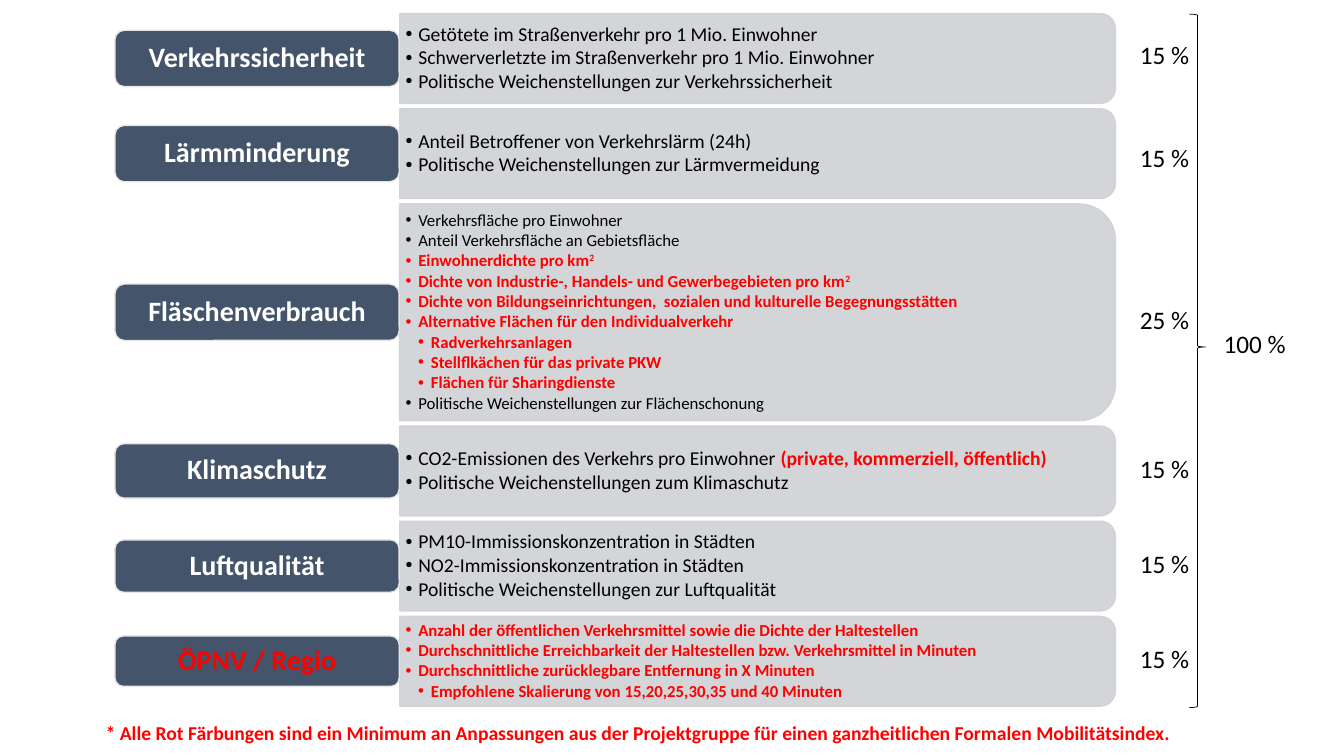
"""Builds the slide with the weighted topics of the mobility index."""
from dataclasses import dataclass

import pptx
import pptx.dml.color
import pptx.enum.shapes
import pptx.enum.text
import pptx.oxml
import pptx.oxml.ns
import pptx.util
from lxml import etree

RGBColor = pptx.dml.color.RGBColor
Shapes = pptx.enum.shapes.MSO_SHAPE
Anchor = pptx.enum.text.MSO_ANCHOR
Align = pptx.enum.text.PP_ALIGN

BLACK = RGBColor(0x00, 0x00, 0x00)
WHITE = RGBColor(0xFF, 0xFF, 0xFF)
RED = RGBColor(0xFF, 0x00, 0x00)
SLATE = RGBColor(0x44, 0x54, 0x6A)
LIGHT = RGBColor(0xE7, 0xE6, 0xE6)
SILVER = RGBColor(0xCF, 0xD1, 0xD4)
FONT = "Calibri"

# The grid has square cells of a tenth of an inch.
CELL = pptx.util.Inches(0.1)
SLIDE_COLUMNS, SLIDE_ROWS = 133.33, 75
LABEL_LEFT, LABEL_COLUMNS = 11.4, 28.2
PANEL_LEFT, PANEL_COLUMNS = 39.65, 71
SHARE_LEFT, SHARE_COLUMNS, SHARE_ROWS = 112.1, 8, 4
STACK_TOP, STACK_ROWS = 1.35, 68.7
BULLET_INDENT = 1.25


@dataclass(frozen=True)
class Bullet:
    """One line of a panel, with an optional raised or red ending."""
    text: str
    red: bool = False
    depth: int = 1
    raised: str = ""
    red_tail: str = ""


@dataclass(frozen=True)
class Topic:
    """One row of the index: label, panel of bullets and share."""
    label: str
    share: str
    share_middle: float
    bullets: tuple[Bullet, ...]
    label_rows: float = 5.6
    panel_rows: float = 8.9
    size: int = 14
    label_color: RGBColor = WHITE


TOPICS = (
    Topic("Verkehrssicherheit", "15 %", 5.4, (
        Bullet("Getötete im Straßenverkehr pro 1 Mio. Einwohner"),
        Bullet("Schwerverletzte im Straßenverkehr pro 1 Mio. Einwohner"),
        Bullet("Politische Weichenstellungen zur Verkehrssicherheit"))),
    Topic("Lärmminderung", "15 %", 15.6, (
        Bullet("Anteil Betroffener von Verkehrslärm (24h)"),
        Bullet("Politische Weichenstellungen zur Lärmvermeidung"))),
    Topic("Fläschenverbrauch", "25 %", 31.7, (
        Bullet("Verkehrsfläche pro Einwohner"),
        Bullet("Anteil Verkehrsfläche an Gebietsfläche"),
        Bullet("Einwohnerdichte pro km", red=True, raised="2"),
        Bullet("Dichte von Industrie-, Handels- und Gewerbegebieten pro km",
               red=True, raised="2"),
        Bullet("Dichte von Bildungseinrichtungen,  sozialen und kulturelle "
               "Begegnungsstätten", red=True),
        Bullet("Alternative Flächen für den Individualverkehr", red=True),
        Bullet("Radverkehrsanlagen", red=True, depth=2),
        Bullet("Stellflkächen für das private PKW", red=True, depth=2),
        Bullet("Flächen für Sharingdienste", red=True, depth=2),
        Bullet("Politische Weichenstellungen zur Flächenschonung")),
        panel_rows=21.5, size=12),
    Topic("Klimaschutz", "15 %", 46.5, (
        Bullet("CO2-Emissionen des Verkehrs pro Einwohner ",
               red_tail="(private, kommerziell, öffentlich)"),
        Bullet("Politische Weichenstellungen zum Klimaschutz")), label_rows=5.4),
    Topic("Luftqualität", "15 %", 55.9, (
        Bullet("PM10-Immissionskonzentration in Städten"),
        Bullet("NO2-Immissionskonzentration in Städten"),
        Bullet("Politische Weichenstellungen zur Luftqualität")), label_rows=5.2),
    Topic("ÖPNV / Regio", "15 %", 65.3, (
        Bullet("Anzahl der öffentlichen Verkehrsmittel sowie die Dichte der "
               "Haltestellen", red=True),
        Bullet("Durchschnittliche Erreichbarkeit der Haltestellen bzw. "
               "Verkehrsmittel in Minuten", red=True),
        Bullet("Durchschnittliche zurücklegbare Entfernung in X Minuten", red=True),
        Bullet("Empfohlene Skalierung von 15,20,25,30,35 und 40 Minuten",
               red=True, depth=2)),
        label_rows=5, size=12, label_color=RED),
)


def cells(*counts: float) -> list[int]:
    """Turn counts of grid cells into lengths."""
    return [round(count * CELL) for count in counts]


def set_font(font, size: float, color: RGBColor, bold: bool = False) -> None:
    """Set typeface, size, colour and weight."""
    font.name, font.size, font.bold = FONT, pptx.util.Pt(size), bold
    font.color.rgb = color


def set_insets(frame, side: float, edge: float) -> None:
    """Set the margins of a text frame and centre it vertically."""
    frame.margin_left = frame.margin_right = cells(side)[0]
    frame.margin_top = frame.margin_bottom = cells(edge)[0]
    frame.vertical_anchor = Anchor.MIDDLE
    frame.word_wrap = True


def add_outline(slide, kind, box: tuple, color: RGBColor, width: float):
    """Add a shape without shadow and with a plain line."""
    shape = slide.shapes.add_shape(kind, *cells(*box))
    shape.shadow.inherit = False
    shape.line.color.rgb = color
    shape.line.width = pptx.util.Pt(width)
    return shape


def add_text(slide, box: tuple, text: str, size: float,
             color: RGBColor = BLACK, bold: bool = False) -> None:
    """Add a box with one line of text."""
    frame = slide.shapes.add_textbox(*cells(*box)).text_frame
    frame.word_wrap = True
    frame.text = text
    set_font(frame.paragraphs[0].font, size, color, bold)


def add_bullet(paragraph, bullet: Bullet, size: int) -> None:
    """Fill a paragraph with a bulleted line."""
    paragraph.level = bullet.depth
    paragraph.line_spacing = 0.9
    paragraph.space_after = pptx.util.Pt(size * 0.13)
    properties = paragraph._p.get_or_add_pPr()
    indent, = cells(BULLET_INDENT)
    properties.set("marL", str(indent * bullet.depth))
    properties.set("indent", str(-indent))
    for tag, name, value in (("a:buFont", "typeface", "Arial"),
                             ("a:buChar", "char", "•")):
        etree.SubElement(properties, pptx.oxml.ns.qn(tag)).set(name, value)
    set_font(paragraph.font, size, RED if bullet.red else BLACK, bullet.red)
    paragraph.add_run().text = bullet.text
    if bullet.raised:
        run = paragraph.add_run()
        run.text = bullet.raised
        run._r.get_or_add_rPr().set("baseline", "30000")
    if bullet.red_tail:
        run = paragraph.add_run()
        run.text = bullet.red_tail
        set_font(run.font, size, RED, True)


def add_panel(slide, topic: Topic, top: float) -> None:
    """Add the panel, rounded on the right, and its bullets."""
    rows = topic.panel_rows
    left = PANEL_LEFT + (PANEL_COLUMNS - rows) / 2
    turned_top = top + (rows - PANEL_COLUMNS) / 2
    panel = add_outline(slide, Shapes.ROUND_2_SAME_RECTANGLE,
                        (left, turned_top, rows, PANEL_COLUMNS), SILVER, 1)
    panel.rotation = 90
    panel.fill.solid()
    panel.fill.fore_color.rgb = SILVER
    for color in panel._element.spPr.iter(pptx.oxml.ns.qn("a:srgbClr")):
        etree.SubElement(color, pptx.oxml.ns.qn("a:alpha")).set("val", "90000")
    frame = slide.shapes.add_textbox(
        *cells(PANEL_LEFT, top, PANEL_COLUMNS, rows)).text_frame
    set_insets(frame, 0.6, 0.3)
    for index, bullet in enumerate(topic.bullets):
        paragraph = frame.add_paragraph() if index else frame.paragraphs[0]
        add_bullet(paragraph, bullet, topic.size)


def add_label(slide, topic: Topic, middle: float) -> None:
    """Add the dark label left of a panel."""
    label = add_outline(slide, Shapes.ROUNDED_RECTANGLE,
                        (LABEL_LEFT, middle - topic.label_rows / 2,
                         LABEL_COLUMNS, topic.label_rows), LIGHT, 1)
    label.fill.solid()
    label.fill.fore_color.rgb = SLATE
    set_insets(label.text_frame, 0.8, 0.4)
    label.text_frame.text = topic.label
    paragraph = label.text_frame.paragraphs[0]
    paragraph.alignment, paragraph.line_spacing = Align.CENTER, 0.9
    set_font(paragraph.font, 20, topic.label_color, True)


def main() -> None:
    """Build and save the slide."""
    presentation = pptx.Presentation()
    presentation.slide_width, presentation.slide_height = cells(
        SLIDE_COLUMNS, SLIDE_ROWS)
    slide = presentation.slides.add_slide(presentation.slide_layouts[6])
    gap = (STACK_ROWS - sum(topic.panel_rows for topic in TOPICS)) / (len(TOPICS) - 1)
    top = STACK_TOP
    for topic in TOPICS:
        add_panel(slide, topic, top)
        add_label(slide, topic, top + topic.panel_rows / 2)
        add_text(slide, (SHARE_LEFT, topic.share_middle - SHARE_ROWS / 2,
                         SHARE_COLUMNS, SHARE_ROWS), topic.share, 18)
        top += topic.panel_rows + gap
    brace = add_outline(slide, Shapes.RIGHT_BRACE, (118, 1.4, 1.6, 68.8), BLACK, 0.5)
    brace.fill.background()
    brace.adjustments[0], brace.adjustments[1] = 0.08, 0.48
    add_text(slide, (120.4, 32.1, 9.4, SHARE_ROWS), "100 %", 18)
    add_text(slide, (9.5, 71, 111, 3.4),
             "* Alle Rot Färbungen sind ein Minimum an Anpassungen aus der "
             "Projektgruppe für einen ganzheitlichen Formalen Mobilitätsindex.",
             14, RED, True)
    presentation.save("out.pptx")


main()
